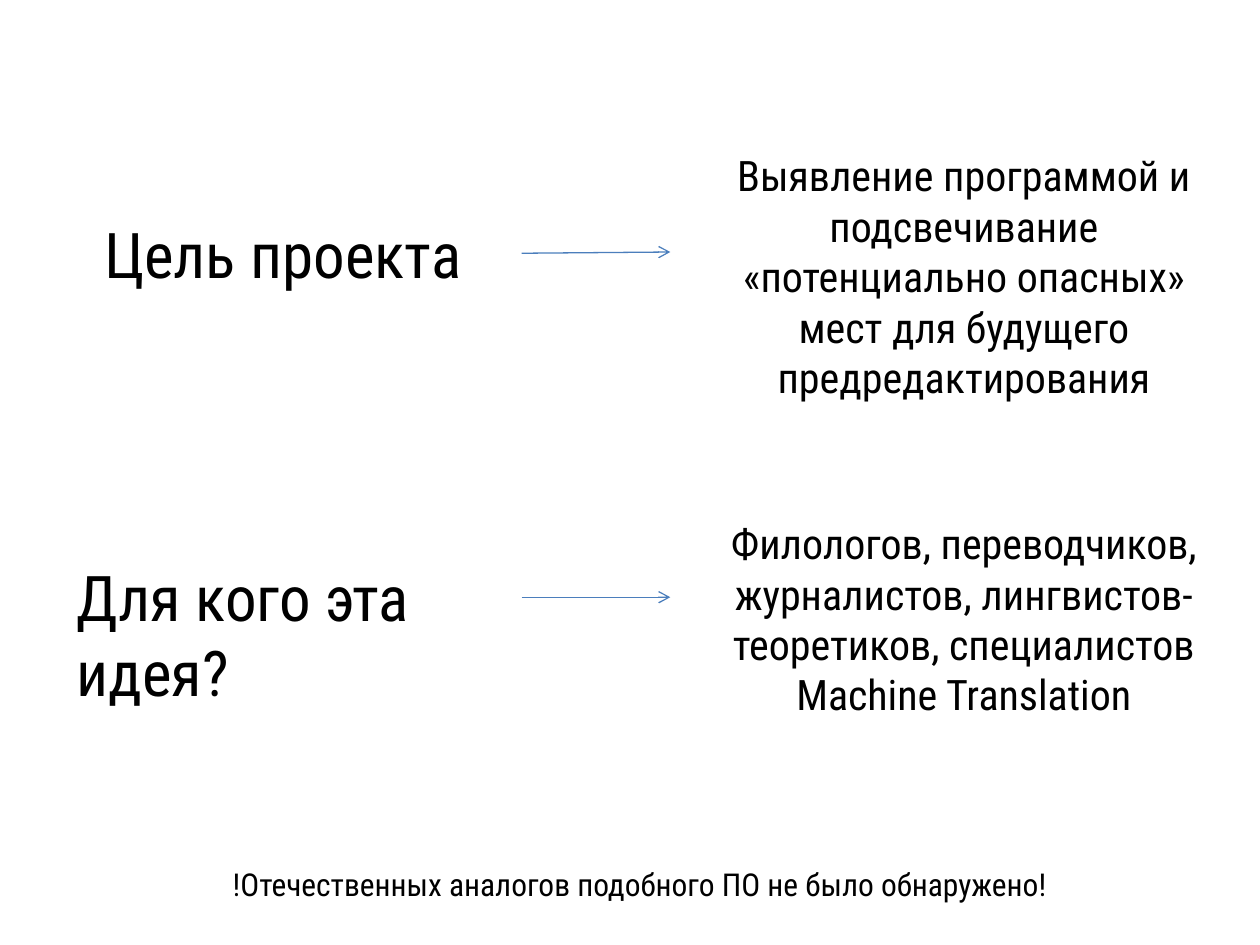
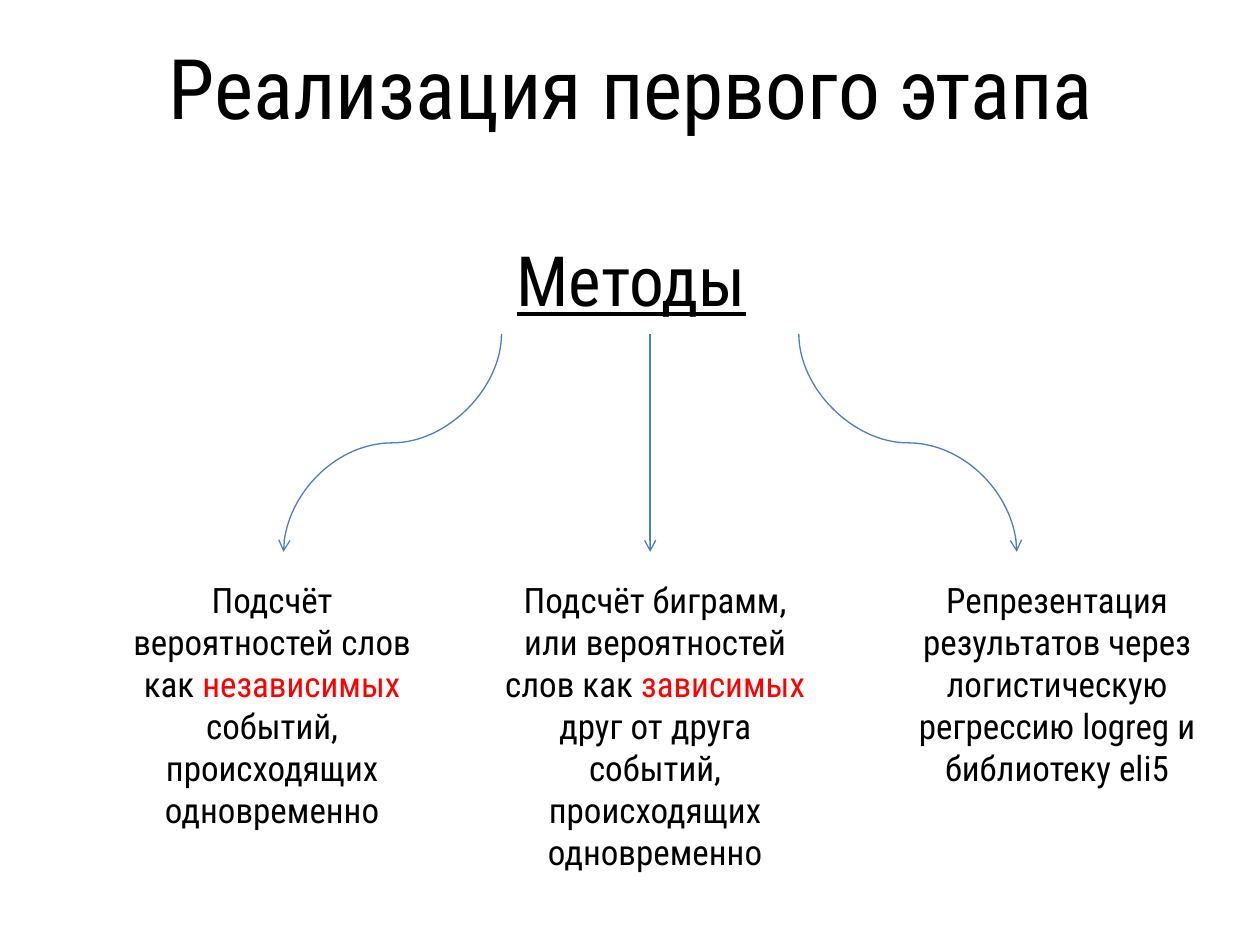
from pptx import Presentation
from pptx import util as u
from pptx.dml.color import RGBColor
from pptx.enum import shapes, text
from pptx.oxml import ns, xmlchemy

PX = 9144  # one px is 1/100 inch
FONT = "Roboto Condensed"
BLACK = RGBColor(0, 0, 0)
RED = RGBColor(255, 0, 0)
BLUE = RGBColor(0x4B, 0x7E, 0xBC)
MID = text.PP_ALIGN.CENTER
STRAIGHT = shapes.MSO_CONNECTOR.STRAIGHT
CURVE = shapes.MSO_CONNECTOR.CURVE


def px(*nums):
    return [u.Emu(n * PX) for n in nums]


def style(par, size, align=MID):
    par.alignment = align
    par.font.name = FONT
    par.font.size = u.Pt(size)
    par.font.color.rgb = BLACK


def label(slide, box, words, size, align=MID, title=False):
    """Text box; a word between asterisks is red."""
    shape = slide.shapes.add_textbox(*px(*box))
    frame = shape.text_frame
    frame.word_wrap = True
    if title:
        frame.vertical_anchor = text.MSO_ANCHOR.MIDDLE
    else:
        frame.auto_size = text.MSO_AUTO_SIZE.SHAPE_TO_FIT_TEXT
    par = frame.paragraphs[0]
    style(par, size, align)
    for i, part in enumerate(words.split("*")):
        run = par.add_run()
        run.text = part
        if i % 2:
            run.font.color.rgb = RED
    return shape


def arrow(slide, start, end, kind=STRAIGHT, turn=0):
    line = slide.shapes.add_connector(kind, *px(*start, *end))
    line.line.color.rgb = BLUE
    line.line.width = u.Pt(0.75)
    tip = xmlchemy.OxmlElement("a:tailEnd")
    tip.set("type", "arrow")
    line.line._get_or_add_ln().append(tip)
    props = line.element.spPr
    props.append(xmlchemy.OxmlElement("a:effectLst"))
    if turn:
        props.find(ns.qn("a:xfrm")).set("rot", str(turn * 60000))
    return line


def goals(slide):
    # Goal of the project
    goal = label(slide, (35, 139, 379, 124), "Цель проекта", 36, title=True)
    arrow(slide, (414, 201), (532, 200)).begin_connect(goal, 3)
    label(slide, (564, 114, 402, 172),
          "Выявление программой и подсвечивание «потенциально опасных» "
          "мест для будущего предредактирования", 24)
    # Audience
    label(slide, (51, 438, 346, 71), "Для кого эта идея?", 36,
          text.PP_ALIGN.LEFT)
    arrow(slide, (414, 474), (532, 474))
    label(slide, (568, 406, 394, 172),
          "Филологов, переводчиков, журналистов, лингвистов-теоретиков, "
          "специалистов Machine Translation", 24)
    # Closing remark
    label(slide, (75, 682, 866, 40),
          "!Отечественных аналогов подобного ПО не было обнаружено!", 18)


METHODS = [
    (82, 268, 145, "Подсчёт вероятностей слов как *независимых* событий, "
     "происходящих одновременно"),
    (382, 276, 178, "Подсчёт биграмм, или вероятностей слов как *зависимых* "
     "друг от друга событий, происходящих одновременно"),
    (705, 268, 145, "Репрезентация результатов через логистическую "
     "регрессию logreg и библиотеку eli5"),
]


def stage(slide):
    # Title and the heading below it
    head = label(slide, (51, 79, 900, 125), "Реализация первого этапа", 47.7,
                 title=True)
    sub = head.text_frame.add_paragraph()
    sub.text = "Методы"
    style(sub, 39.6)
    sub.font.underline = True
    sub.space_before = u.Pt(58)
    # Arrows fan out from the heading
    top, low = 265, 438
    reach = low - top
    arrow(slide, (398 - reach, top), (398, low), CURVE, 90)
    arrow(slide, (516, top), (516, low))
    arrow(slide, (634 + reach, top), (634, low), CURVE, 270)
    # Methods
    for left, wide, high, words in METHODS:
        label(slide, (left, 454, wide, high), words, 20)


def main():
    deck = Presentation()
    deck.slide_width, deck.slide_height = px(1000, 750)
    for build in (goals, stage):
        build(deck.slides.add_slide(deck.slide_layouts[6]))
    deck.save("out.pptx")


if __name__ == "__main__":
    main()
